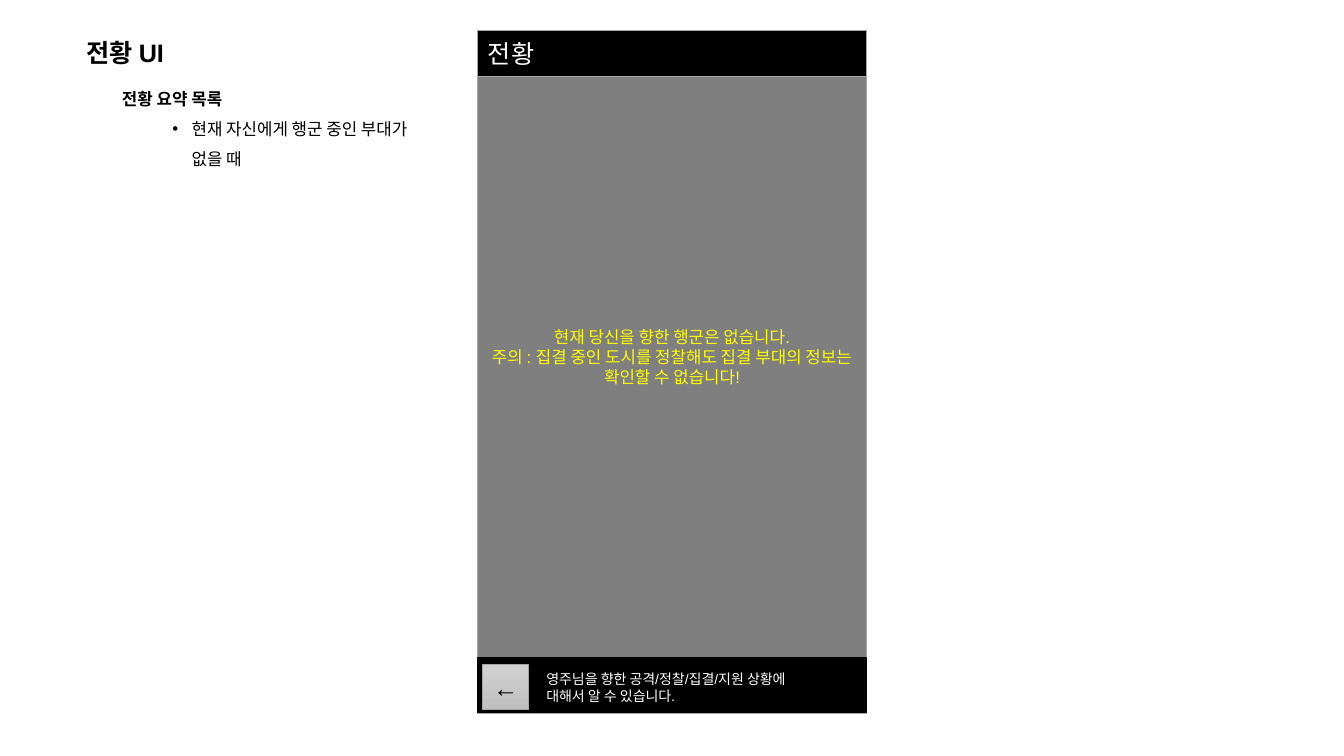
import pptx
import pptx.dml.color
import pptx.enum.shapes
import pptx.enum.text
import pptx.oxml
import pptx.oxml.ns
import pptx.util
from pptx.util import Inches

RGBColor = pptx.dml.color.RGBColor
ALIGN = pptx.enum.text.PP_ALIGN
ANCHOR = pptx.enum.text.MSO_ANCHOR

BLACK = RGBColor(0x00, 0x00, 0x00)
WHITE = RGBColor(0xFF, 0xFF, 0xFF)
GRAY = RGBColor(0x7F, 0x7F, 0x7F)
EDGE = RGBColor(0xA5, 0xA5, 0xA5)
LIGHT = RGBColor(0xD1, 0xD1, 0xD1)
DARK = RGBColor(0xC0, 0xC0, 0xC0)
YELLOW = RGBColor(0xFF, 0xFF, 0x00)

# Phone screen
LEFT, TOP, WIDTH = 4.74, 0.3, 3.85


def style(para, size, color, bold=False, align=ALIGN.LEFT):
    para.alignment = align
    font = para.font
    font.name = "Arial"
    font.size = pptx.util.Pt(size)
    font.bold = bold
    font.color.rgb = color


def place(shape, left, top, width, height):
    shape.left, shape.top = Inches(left), Inches(top)
    shape.width, shape.height = Inches(width), Inches(height)


def setup(frame, anchor):
    frame.word_wrap = True
    frame.auto_size = pptx.enum.text.MSO_AUTO_SIZE.NONE
    frame.vertical_anchor = anchor


def add_box(slide, left, top, width, height, fill=None, edge=EDGE):
    """Add a rectangle; without a fill colour it gets the button gradient."""
    box = slide.shapes.add_shape(
        pptx.enum.shapes.MSO_SHAPE.RECTANGLE,
        Inches(left), Inches(top), Inches(width), Inches(height))
    box.shadow.inherit = False
    if fill is None:
        box.fill.gradient()
        box.fill.gradient_angle = 270
        for stop, color in zip(box.fill.gradient_stops, (LIGHT, DARK)):
            stop.color.rgb = color
    else:
        box.fill.solid()
        box.fill.fore_color.rgb = fill
    box.line.color.rgb = edge
    box.line.width = pptx.util.Pt(0.75)
    return box


def write(shape, text, size, color, align=ALIGN.LEFT, anchor=ANCHOR.MIDDLE):
    setup(shape.text_frame, anchor)
    para = shape.text_frame.paragraphs[0]
    para.text = text
    style(para, size, color, align=align)


def set_bullet(para, margin, indent, char=None):
    props = para._p.get_or_add_pPr()
    props.set("marL", str(Inches(margin)))
    props.set("indent", str(Inches(indent)))
    tag = f'buChar char="{char}"' if char else "buNone"
    props.append(pptx.oxml.parse_xml(
        f'<a:{tag} {pptx.oxml.ns.nsdecls("a")}/>'.replace(
            f"<a:{tag}", f"<a:{tag}")))


def add_title(slide):
    title = slide.shapes.title
    place(title, 0.76, 0.32, 1.65, 0.4)
    setup(title.text_frame, ANCHOR.TOP)
    title.text_frame.text = "전황 UI"
    style(title.text_frame.paragraphs[0], 18, BLACK, bold=True)


def add_notes(slide):
    """Fill the body with a heading and its bullet."""
    body = slide.placeholders[1]
    place(body, 1.11, 0.73, 3.56, 2.52)
    frame = body.text_frame
    setup(frame, ANCHOR.TOP)
    head = frame.paragraphs[0]
    item = frame.add_paragraph()
    head.text = "전황 요약 목록"
    item.text = "현재 자신에게 행군 중인 부대가\v없을 때"
    item.level = 1
    set_bullet(head, 0, 0)
    set_bullet(item, 0.69, -0.19, "•")
    for para in (head, item):
        para.line_spacing = 1.5
        para.space_before = pptx.util.Pt(0)
        style(para, 12, BLACK, bold=para is head)


def add_screen(slide):
    panel = add_box(slide, LEFT, TOP, WIDTH, 6.78, GRAY)
    write(panel, "현재 당신을 향한 행군은 없습니다.\v"
          "주의 : 집결 중인 도시를 정찰해도 집결 부대의 "
          "정보는 확인할 수 없습니다!", 12, YELLOW, ALIGN.CENTER)
    panel.text_frame.margin_bottom = Inches(0.35)

    add_box(slide, LEFT, 6.52, WIDTH, 0.55, BLACK, BLACK)
    back = add_box(slide, 4.79, 6.59, 0.45, 0.45)
    write(back, "←", 18, BLACK, ALIGN.CENTER)
    header = add_box(slide, LEFT, TOP, WIDTH, 0.46, BLACK)
    write(header, "전황", 18, WHITE)

    hint = slide.shapes.add_textbox(
        Inches(5.32), Inches(6.6), Inches(3.09), Inches(0.44))
    write(hint, "영주님을 향한 공격/정찰/집결/지원 상황에\v"
          "대해서 알 수 있습니다.", 10, WHITE, anchor=ANCHOR.TOP)


def main():
    deck = pptx.Presentation()
    deck.slide_width, deck.slide_height = Inches(13.33), Inches(7.5)
    slide = deck.slides.add_slide(deck.slide_layouts[1])
    add_title(slide)
    add_notes(slide)
    add_screen(slide)
    deck.save("out.pptx")


if __name__ == "__main__":
    main()
